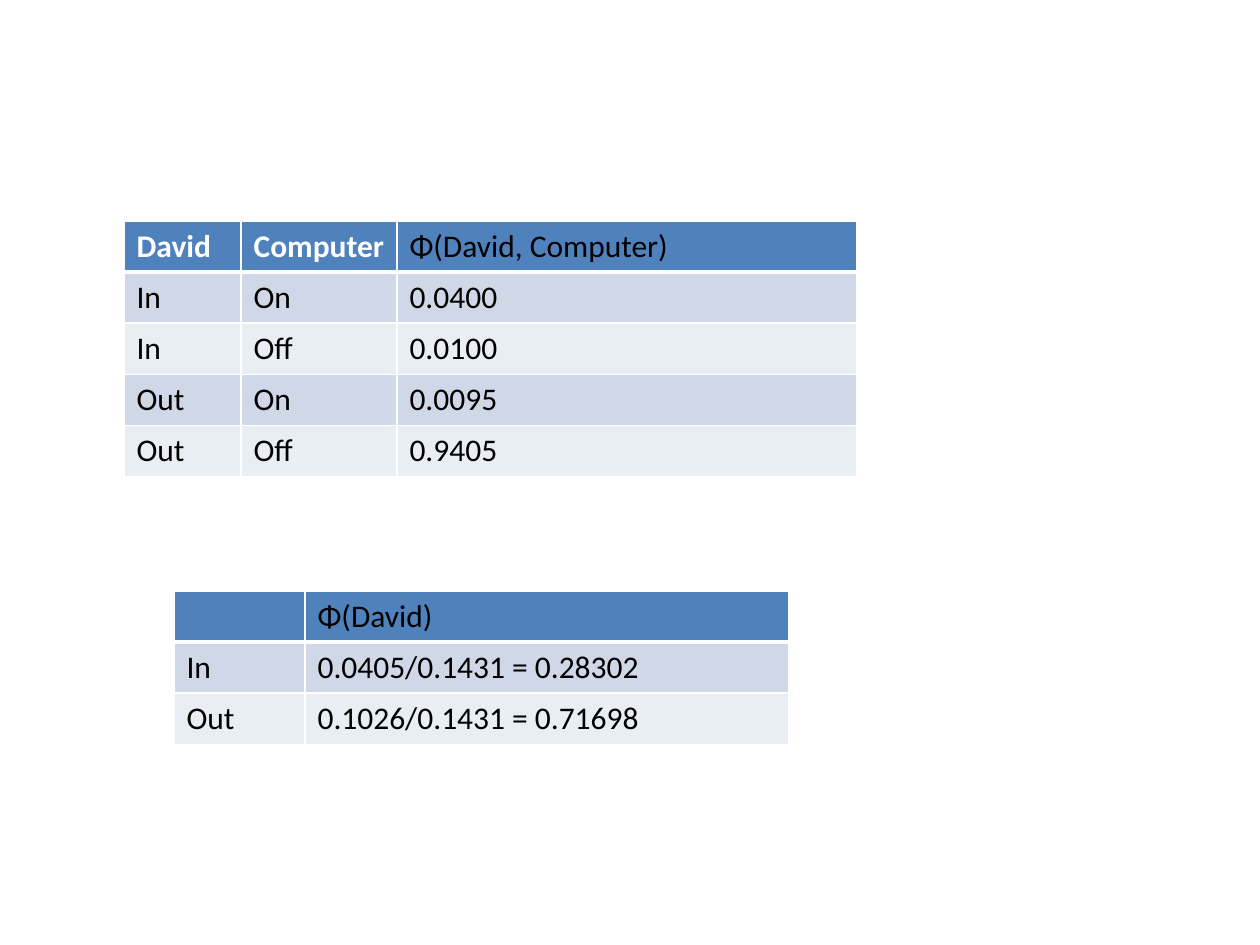
from lxml import etree
from pptx import Presentation
from pptx import util as u
from pptx.dml.color import RGBColor
from pptx.oxml import ns

PX = 914400 / 126
ROW_HEIGHT = 51
HEADER = "4F81BD"
BANDS = ("D0D8E8", "E9EDF4")
WHITE = "FFFFFF"
BLACK = "000000"


def px(n):
    return u.Emu(round(n * PX))


def paint(color_format, value):
    color_format.rgb = RGBColor.from_string(value)


def add_border(cell, side, width):
    ln = etree.SubElement(cell._tc.get_or_add_tcPr(), ns.qn(f"a:ln{side}"), w=str(u.Pt(width)))
    fill = etree.SubElement(ln, ns.qn("a:solidFill"))
    etree.SubElement(fill, ns.qn("a:srgbClr"), val=WHITE)


def format_cell(cell, row, content, bold_white):
    widths = {"L": 1, "R": 1, "T": 3 if row == 1 else 1, "B": 3 if row == 0 else 1}
    for side, width in widths.items():
        add_border(cell, side, width)
    cell.fill.solid()
    paint(cell.fill.fore_color, BANDS[(row - 1) % 2] if row else HEADER)
    if not content:
        return
    r = cell.text_frame.paragraphs[0].add_run()
    r.text = content
    r.font.name = "Calibri"
    r.font.size = u.Pt(18)
    r.font.bold = bold_white
    paint(r.font.color, WHITE if bold_white else BLACK)


def add_factor_table(s, left, top, widths, rows):
    frame = s.shapes.add_table(len(rows), len(widths), px(left), px(top),
                               px(sum(widths)), px(ROW_HEIGHT * len(rows)))
    table = frame.table
    for column, width in zip(table.columns, widths):
        column.width = px(width)
    for i, row in enumerate(rows):
        table.rows[i].height = px(ROW_HEIGHT)
        for j, content in enumerate(row):
            is_variable = i == 0 and j < len(row) - 1
            format_cell(table.cell(i, j), i, content, is_variable)


def main():
    prs = Presentation()
    prs.slide_width = px(1260)
    prs.slide_height = px(945)
    s = prs.slides.add_slide(prs.slide_layouts[6])
    add_factor_table(s, 124, 221, (117, 156, 460), (
        ("David", "Computer", "Φ(David, Computer)"),
        ("In", "On", "0.0400"),
        ("In", "Off", "0.0100"),
        ("Out", "On", "0.0095"),
        ("Out", "Off", "0.9405"),
    ))
    add_factor_table(s, 174, 591, (131, 484), (
        ("", "Φ(David)"),
        ("In", "0.0405/0.1431 = 0.28302"),
        ("Out", "0.1026/0.1431 = 0.71698"),
    ))
    prs.save("out.pptx")


if __name__ == "__main__":
    main()
